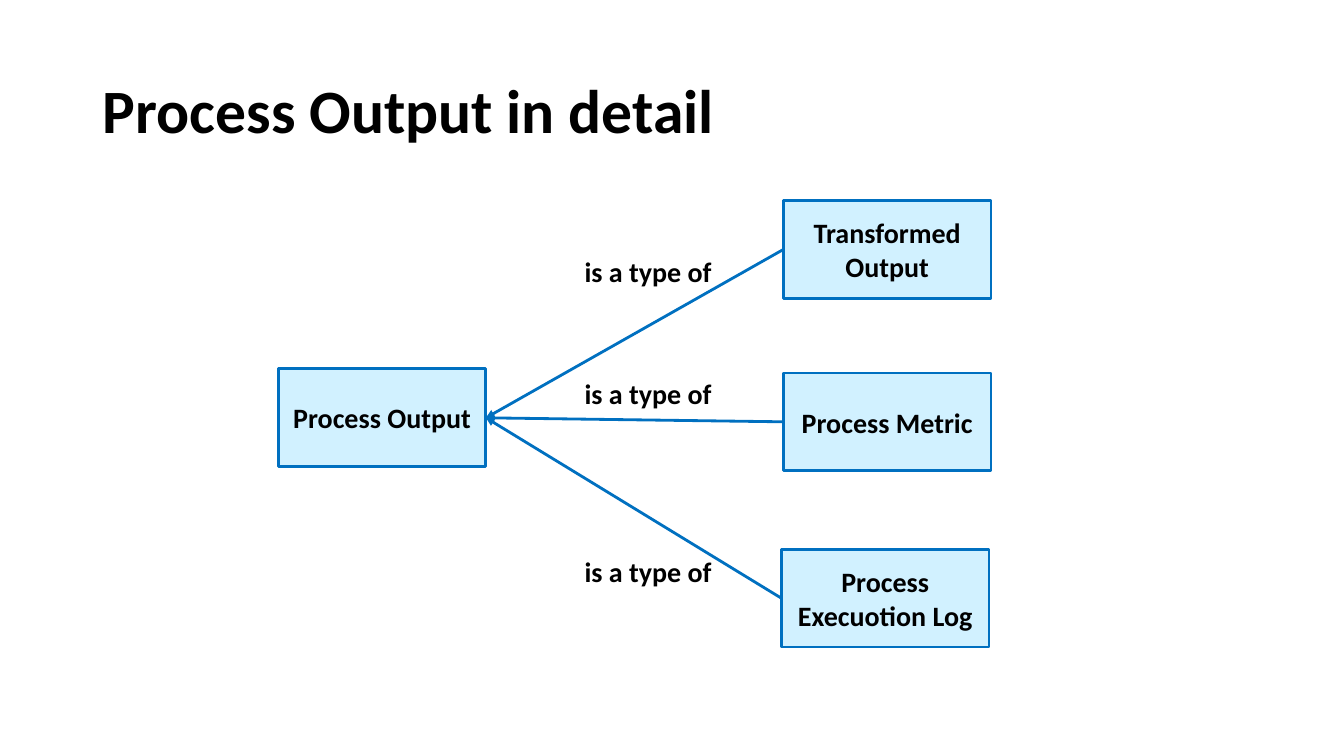
from lxml import etree
from pptx import Presentation
from pptx.dml.color import RGBColor
from pptx.enum import shapes, text
from pptx.oxml import ns
from pptx.util import Inches, Pt

BLACK = RGBColor(0x00, 0x00, 0x00)
BLUE = RGBColor(0x00, 0x70, 0xC0)
PALE_BLUE = RGBColor(0xD1, 0xF1, 0xFF)
FONT = "Calibri"
BOX_WIDTH, BOX_HEIGHT = 2.06, 0.97
LABEL_LEFT = 2.94
SUBTYPES = [
    ("Transformed Output", 5.01, 0, 0.49),
    ("Process Metric", 5.01, 1.71, 1.7),
    ("Process Execuotion Log", 4.99, 3.46, 3.46),
]


def style_text(frame, wording, size, align):
    """Write one bold black paragraph into a text frame."""
    para = frame.paragraphs[0]
    para.text = wording
    para.alignment = align
    para.font.name = FONT
    para.font.size = Pt(size)
    para.font.bold = True
    para.font.color.rgb = BLACK
    return para


def add_title(page, wording, left, top, width, height):
    """Place the slide title in the given box."""
    title = page.shapes.title
    title.left, title.top = Inches(left), Inches(top)
    title.width, title.height = Inches(width), Inches(height)
    frame = title.text_frame
    frame.auto_size = text.MSO_AUTO_SIZE.NONE
    frame.vertical_anchor = text.MSO_ANCHOR.MIDDLE
    para = style_text(frame, wording, 44, text.PP_ALIGN.LEFT)
    para.line_spacing = 0.9


def add_concept(page, wording, left, top):
    """Add one outlined concept box."""
    box = page.shapes.add_shape(
        shapes.MSO_SHAPE.RECTANGLE,
        Inches(left), Inches(top), Inches(BOX_WIDTH), Inches(BOX_HEIGHT),
    )
    box.shadow.inherit = False
    box.fill.solid()
    box.fill.fore_color.rgb = PALE_BLUE
    box.line.color.rgb = BLUE
    box.line.width = Pt(2)
    box.text_frame.word_wrap = True
    box.text_frame.vertical_anchor = text.MSO_ANCHOR.MIDDLE
    style_text(box.text_frame, wording, 20, text.PP_ALIGN.CENTER)
    return box


def add_arrow(page, child, parent):
    """Join the left side of a child box to the right side of its parent."""
    arrow = page.shapes.add_connector(shapes.MSO_CONNECTOR.STRAIGHT, 0, 0, 0, 0)
    arrow.begin_connect(child, 1)
    arrow.end_connect(parent, 3)
    arrow.line.color.rgb = BLUE
    arrow.line.width = Pt(2)
    outline = arrow.line._get_or_add_ln()
    etree.SubElement(outline, ns.qn("a:tailEnd"), type="triangle")
    etree.SubElement(arrow._element.spPr, ns.qn("a:effectLst"))


def add_label(page, wording, left, top):
    """Add a relation label that does not wrap."""
    label = page.shapes.add_textbox(Inches(left), Inches(top), Inches(1.47), Inches(0.44))
    label.text_frame.word_wrap = False
    label.text_frame.auto_size = text.MSO_AUTO_SIZE.SHAPE_TO_FIT_TEXT
    style_text(label.text_frame, wording, 20, text.PP_ALIGN.LEFT)


def add_type_diagram(page, left, top):
    """Draw the parent concept with its subtypes from the given corner."""
    parent = add_concept(page, "Process Output", left, top + 1.67)
    for wording, offset, drop, label_drop in SUBTYPES:
        child = add_concept(page, wording, left + offset, top + drop)
        add_arrow(page, child, parent)
        add_label(page, "is a type of", left + LABEL_LEFT, top + label_drop)


def main():
    """Build and save the deck."""
    deck = Presentation()
    deck.slide_width, deck.slide_height = Inches(13.33), Inches(7.5)
    page = deck.slides.add_slide(deck.slide_layouts[5])
    add_title(page, "Process Output in detail", 0.92, 0.4, 11.5, 1.45)
    add_type_diagram(page, 2.76, 1.99)
    deck.save("out.pptx")


if __name__ == "__main__":
    main()
